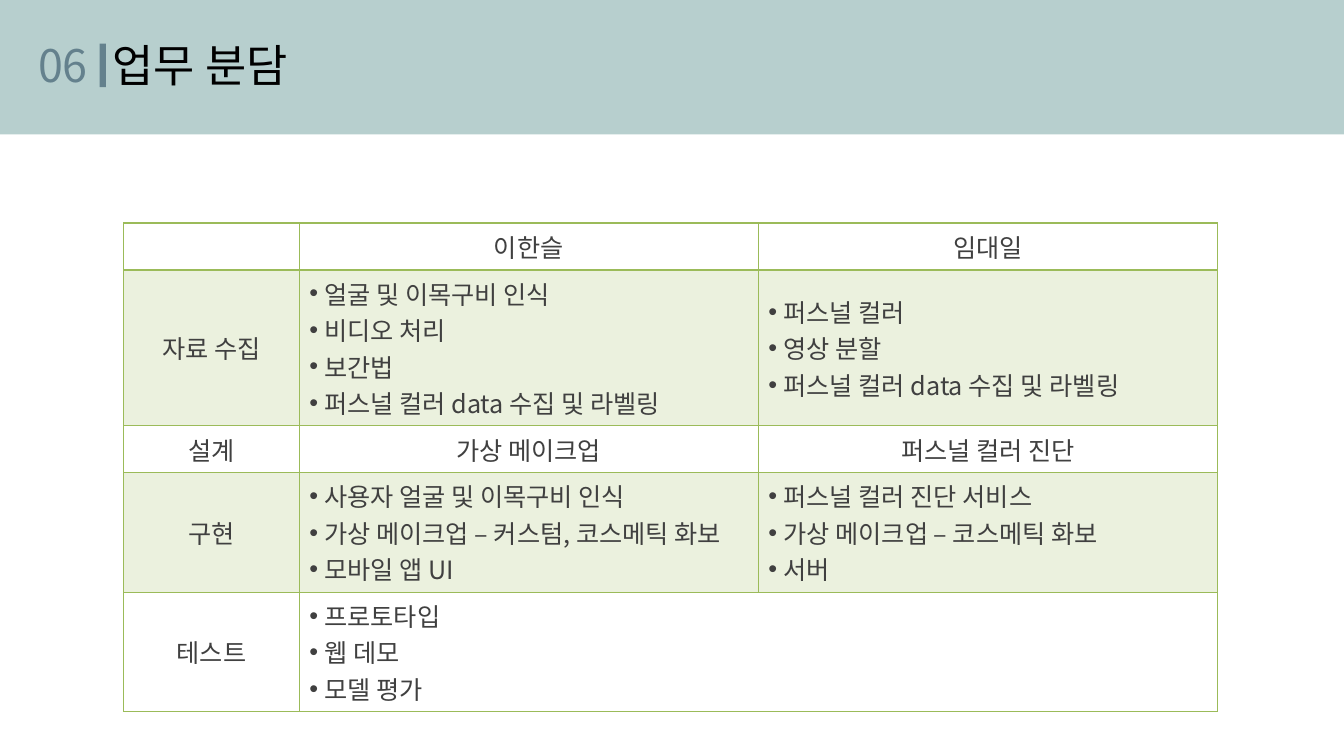
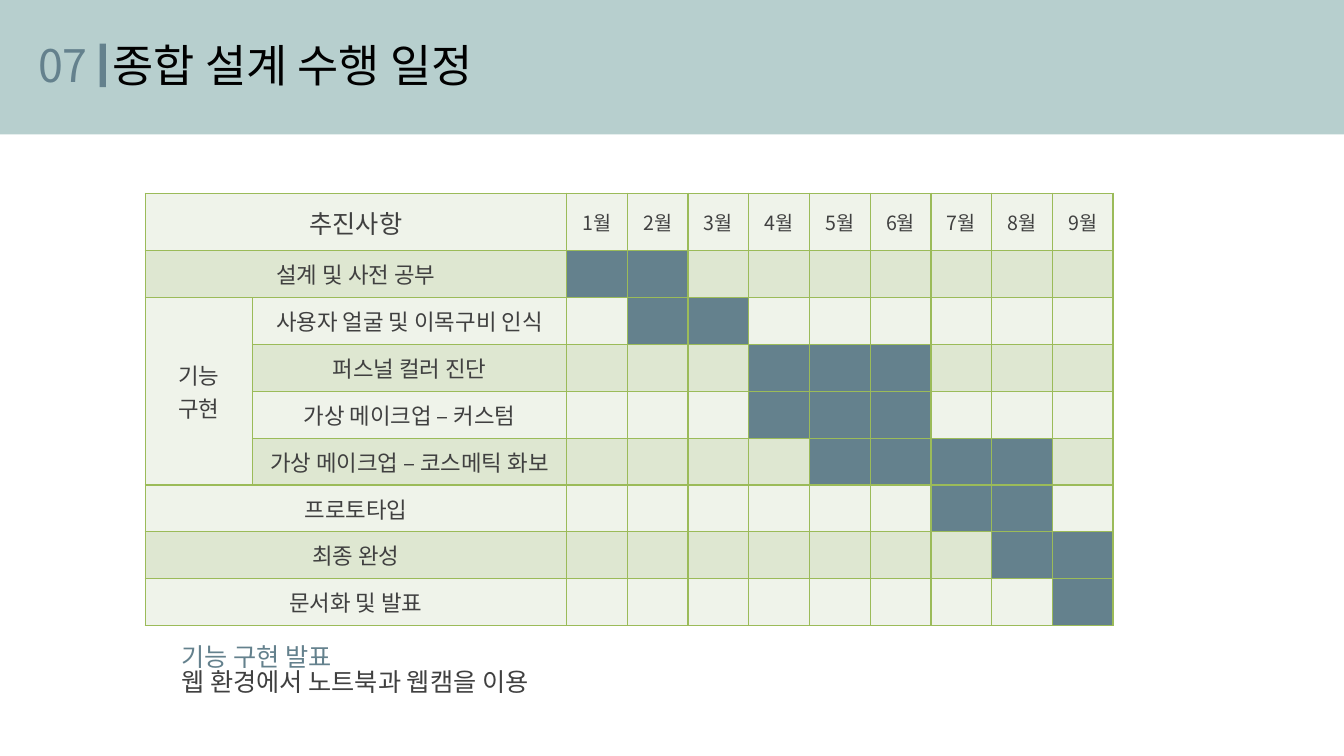
import pptx
import pptx.dml.color
import pptx.enum.shapes
import pptx.enum.text
import pptx.oxml
import pptx.oxml.ns
import pptx.util
from pptx.util import Cm

FONT = "Noto Sans CJK KR"
BAND = pptx.dml.color.RGBColor(0xB7, 0xCF, 0xCE)
SLATE = pptx.dml.color.RGBColor(0x64, 0x81, 0x8D)
BLACK = pptx.dml.color.RGBColor(0x00, 0x00, 0x00)
TEXT = pptx.dml.color.RGBColor(0x40, 0x40, 0x40)
BORDER = pptx.dml.color.RGBColor(0x9B, 0xBB, 0x59)
TASK_SHADE = pptx.dml.color.RGBColor(0xEB, 0xF1, 0xDE)
ROW_LIGHT = pptx.dml.color.RGBColor(0xEF, 0xF3, 0xEA)
ROW_DARK = pptx.dml.color.RGBColor(0xDE, 0xE7, 0xD1)
RECTANGLE = pptx.enum.shapes.MSO_SHAPE.RECTANGLE
MIDDLE = pptx.enum.text.MSO_ANCHOR.MIDDLE
CENTER = pptx.enum.text.PP_ALIGN.CENTER
NAMESPACE = pptx.oxml.ns.nsdecls("a")


def write_lines(frame, lines, size, color, align=None, bulleted=False):
    frame.word_wrap = True
    for index, line in enumerate(lines):
        para = frame.add_paragraph() if index else frame.paragraphs[0]
        para.alignment = align
        if bulleted:
            properties = para._p.get_or_add_pPr()
            properties.set("marL", str(Cm(0.38)))
            properties.set("indent", str(-Cm(0.38)))
            properties.append(pptx.oxml.parse_xml(f'<a:buFont {NAMESPACE} typeface="Arial"/>'))
            properties.append(pptx.oxml.parse_xml(f'<a:buChar {NAMESPACE} char="•"/>'))
        span = para.add_run()
        span.text = line
        span.font.size = pptx.util.Pt(size)
        span.font.name = FONT
        span.font.color.rgb = color
        span._r.get_or_add_rPr().append(
            pptx.oxml.parse_xml(f'<a:ea {NAMESPACE} typeface="{FONT}"/>'))


def add_grid(page, left, top, widths, heights):
    frame = page.shapes.add_table(
        len(heights), len(widths), left, top, sum(widths), sum(heights))
    table = frame.table
    table.first_row = False
    table.horz_banding = False
    for column, width in zip(table.columns, widths):
        column.width = width
    for row, height in zip(table.rows, heights):
        row.height = height
    for cell in table.iter_cells():
        cell.vertical_anchor = MIDDLE
        cell.fill.background()
        for index, side in enumerate(("lnL", "lnR", "lnT", "lnB")):
            cell._tc.get_or_add_tcPr().insert(index, pptx.oxml.parse_xml(
                f'<a:{side} {NAMESPACE} w="{pptx.util.Pt(1)}"><a:solidFill>'
                f'<a:srgbClr val="{BORDER}"/></a:solidFill></a:{side}>'))
    return table


deck = pptx.Presentation()
deck.slide_width = Cm(33.87)
deck.slide_height = Cm(19.05)

pages = []
for number, title in (("06", "업무 분담"), ("07", "종합 설계 수행 일정")):
    page = deck.slides.add_slide(deck.slide_layouts[6])
    pages.append(page)
    heading = page.shapes.add_group_shape()
    for left, top, width, height, color in (
            (0, 0, 33.87, 3.39, BAND), (2.51, 1.1, 0.16, 1.1, SLATE)):
        bar = heading.shapes.add_shape(RECTANGLE, Cm(left), Cm(top), Cm(width), Cm(height))
        bar.shadow.inherit = False
        bar.fill.solid()
        bar.fill.fore_color.rgb = color
        bar.line.fill.background()
    for text, left, width, color in (
            (number, 0.71, 1.88, SLATE), (title, 2.59, 10.41, BLACK)):
        box = heading.shapes.add_textbox(Cm(left), Cm(0.81), Cm(width), Cm(1.63))
        box.text_frame.vertical_anchor = MIDDLE
        write_lines(box.text_frame, [text], 32, color)

duty_page, schedule_page = pages

duties = (
    ([], ["이한슬"], ["임대일"]),
    (["자료 수집"],
     ["얼굴 및 이목구비 인식", "비디오 처리", "보간법", "퍼스널 컬러 data 수집 및 라벨링"],
     ["퍼스널 컬러", "영상 분할", "퍼스널 컬러 data 수집 및 라벨링"]),
    (["설계"], ["가상 메이크업"], ["퍼스널 컬러 진단"]),
    (["구현"],
     ["사용자 얼굴 및 이목구비 인식", "가상 메이크업 – 커스텀, 코스메틱 화보", "모바일 앱 UI"],
     ["퍼스널 컬러 진단 서비스", "가상 메이크업 – 코스메틱 화보", "서버"]),
    (["테스트"], ["프로토타입", "웹 데모", "모델 평가"], []),
)
duty_table = add_grid(
    duty_page, Cm(3.12), Cm(5.62), [Cm(4.42), Cm(11.57), Cm(11.57)],
    [Cm(height) for height in (1.18, 3.93, 1.18, 3.01, 3.01)])
duty_table.cell(4, 1).merge(duty_table.cell(4, 2))
for row, entries in enumerate(duties):
    for column, lines in enumerate(entries):
        cell = duty_table.cell(row, column)
        bulleted = len(lines) > 1
        write_lines(cell.text_frame, lines, 18, TEXT, None if bulleted else CENTER, bulleted)
        if row % 2:
            cell.fill.solid()
            cell.fill.fore_color.rgb = TASK_SHADE
        if row == 0:
            bottom = cell._tc.tcPr.find(pptx.oxml.ns.qn("a:lnB"))
            bottom.set("w", str(pptx.util.Pt(2)))

tasks = (
    ("설계 및 사전 공부", 1, 2),
    ("사용자 얼굴 및 이목구비 인식", 2, 3),
    ("퍼스널 컬러 진단", 4, 6),
    ("가상 메이크업 – 커스텀", 4, 6),
    ("가상 메이크업 – 코스메틱 화보", 5, 8),
    ("프로토타입", 7, 8),
    ("최종 완성", 8, 9),
    ("문서화 및 발표", 9, 9),
)
feature_rows = range(2, 6)
schedule = add_grid(
    schedule_page, Cm(3.66), Cm(4.87), [Cm(2.7), Cm(7.92)] + [Cm(1.53)] * 9,
    [Cm(1.45)] + [Cm(1.18)] * len(tasks))
for row in range(len(tasks) + 1):
    for column in range(11):
        fill = schedule.cell(row, column).fill
        fill.solid()
        fill.fore_color.rgb = ROW_DARK if row % 2 else ROW_LIGHT
    if row not in feature_rows:
        schedule.cell(row, 0).merge(schedule.cell(row, 1))
schedule.cell(feature_rows[0], 0).merge(schedule.cell(feature_rows[-1], 0))

write_lines(schedule.cell(0, 0).text_frame, ["추진사항"], 18, TEXT, CENTER)
write_lines(schedule.cell(feature_rows[0], 0).text_frame, ["기능", "구현"], 16, TEXT, CENTER)
for month in range(1, 10):
    write_lines(schedule.cell(0, month + 1).text_frame, [f"{month}월"], 14, TEXT, CENTER)
for row, (label, start, finish) in enumerate(tasks, 1):
    label_cell = schedule.cell(row, 1 if row in feature_rows else 0)
    write_lines(label_cell.text_frame, [label], 16, TEXT, CENTER)
    for month in range(start, finish + 1):
        schedule.cell(row, month + 1).fill.fore_color.rgb = SLATE

note = schedule_page.shapes.add_textbox(Cm(4.32), Cm(16.03), Cm(25.22), Cm(1.8))
note.text_frame.vertical_anchor = MIDDLE
write_lines(note.text_frame, ["기능 구현 발표", "웹 환경에서 노트북과 웹캠을 이용"], 18, TEXT)
note.text_frame.paragraphs[0].runs[0].font.color.rgb = SLATE
for para in note.text_frame.paragraphs:
    para.line_spacing = 0.82

deck.save("out.pptx")
